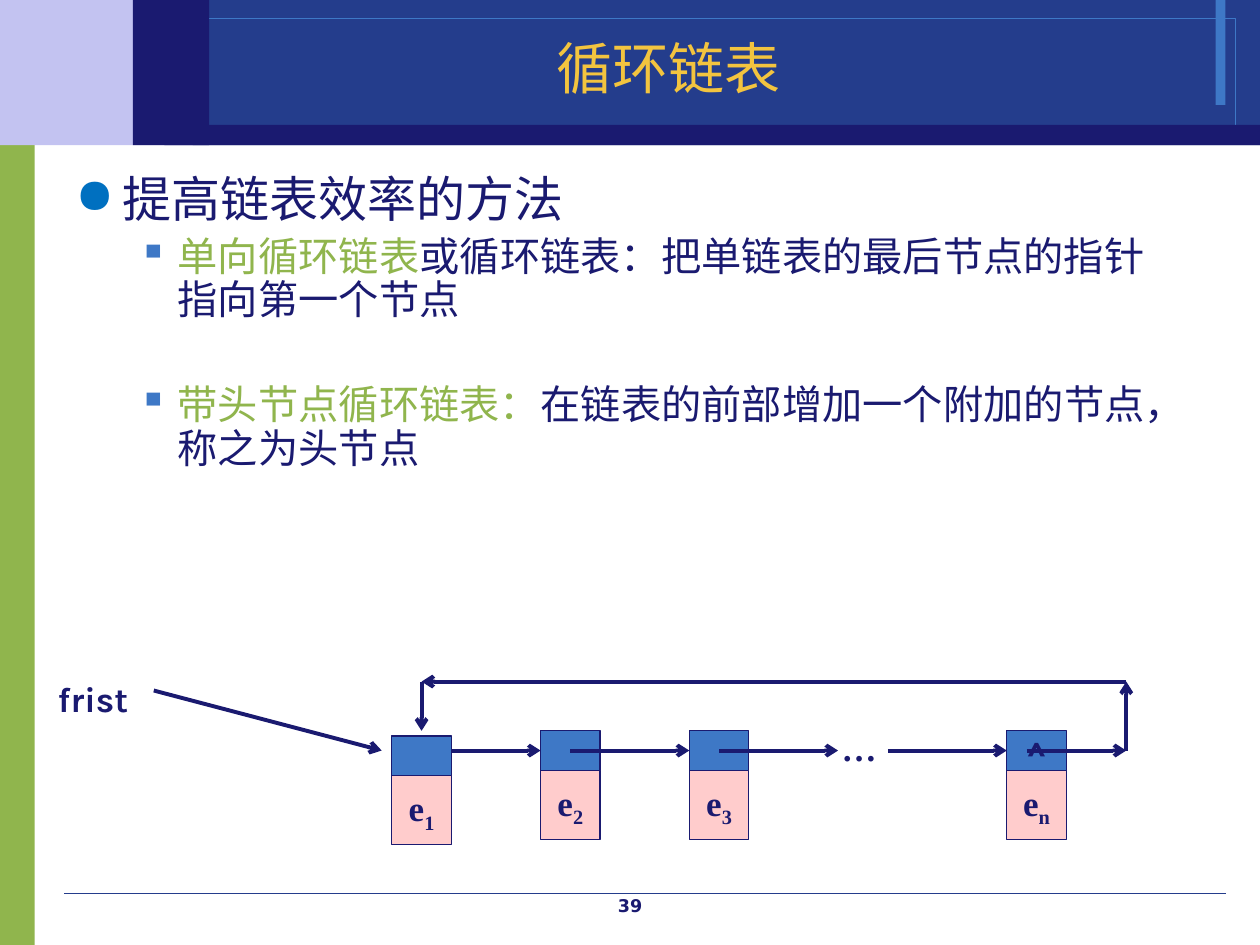
from dataclasses import dataclass

from lxml import etree
from pptx import Presentation
from pptx.dml.color import RGBColor
from pptx.enum import shapes as kinds, text as te
from pptx.oxml.ns import qn
from pptx.util import Pt


@dataclass(frozen=True)
class Theme:
    navy: str = "1A1A70"
    deep: str = "243D8C"
    blue: str = "3E78C6"
    dot: str = "0070C0"
    lilac: str = "C3C3F1"
    green: str = "90B54D"
    gold: str = "F3C43F"
    pink: str = "FFCCCC"
    sans: str = "DejaVu Sans"
    serif: str = "Times New Roman"
    label: str = "Karla"
    head: int = 32
    main: int = 28
    sub: int = 23
    node: int = 20
    foot: int = 10


T = Theme()
MID = te.PP_ALIGN.CENTER


def rgb(tone):
    return RGBColor.from_string(tone)


def write(para, text, size, font=T.serif, tone=T.navy, bold=False, base=0):
    run = para.add_run()
    run.text = text
    run.font.size = Pt(size)
    run.font.name = font
    run.font.bold = bold
    run.font.color.rgb = rgb(tone)
    if base:
        run.font._element.set("baseline", str(base * 1000))


def rect(slide, x, y, w, h, fill=None, line=None, width=0.75):
    box = slide.shapes.add_shape(kinds.MSO_SHAPE.RECTANGLE, Pt(x), Pt(y), Pt(w), Pt(h))
    box.shadow.inherit = False
    if fill:
        box.fill.solid()
        box.fill.fore_color.rgb = rgb(fill)
    else:
        box.fill.background()
    if line:
        box.line.color.rgb = rgb(line)
        box.line.width = Pt(width)
    else:
        box.line.fill.background()
    return box


def rule(slide, start, end, tone=T.navy, width=2.25, arrow=True):
    ends = [Pt(v) for v in (*start, *end)]
    line = slide.shapes.add_connector(kinds.MSO_CONNECTOR.STRAIGHT, *ends)
    line.line.color.rgb = rgb(tone)
    line.line.width = Pt(width)
    if arrow:
        etree.SubElement(line.line._get_or_add_ln(), qn("a:tailEnd"), type="arrow")
    etree.SubElement(line._element.spPr, qn("a:effectLst"))
    return line


def label(slide, x, y, w, h, text, size, align=None, **look):
    box = slide.shapes.add_textbox(Pt(x), Pt(y), Pt(w), Pt(h))
    box.text_frame.word_wrap = True
    para = box.text_frame.paragraphs[0]
    para.alignment = align
    write(para, text, size, bold=True, **look)


def centre(box):
    """Return the paragraph of a box whose text is centred and unwrapped."""
    frame = box.text_frame
    frame.word_wrap = False
    frame.vertical_anchor = te.MSO_ANCHOR.MIDDLE
    frame.paragraphs[0].alignment = MID
    return frame.paragraphs[0]


def frame(slide, w, h):
    """Draw the side bar, banner and foot rule."""
    top, stem = 83, 76
    rect(slide, 0, top - 6, 19.8, h - top + 6, T.green)
    rect(slide, 0, 0, 110, top, T.lilac)
    rect(slide, 110, 0, w - 110, top, T.deep)
    rect(slide, w - 25.4, 0, 5.6, 60, T.blue)
    rect(slide, 86, 10.5, w - 100, 61.2, line=T.blue, width=0.25)
    rule(slide, (36.7, h - 29.5), (w - 19.5, h - 29.5), T.deep, 0.25, False)
    rect(slide, 94, 71.4, w - 94, top - 71.4, T.navy)
    rect(slide, stem, 0, 43.5, top, T.navy)
    label(slide, 276, h - 32.4, 168, 18, "39", T.foot, MID, font=T.sans)


def title(slide, x, y, w, h, text):
    box = slide.shapes.title
    box.left, box.top, box.width, box.height = Pt(x), Pt(y), Pt(w), Pt(h)
    slide.shapes._spTree.append(box._element)  # in front of the banner
    para = centre(box)
    box.text_frame.word_wrap = True
    para.line_spacing = 0.9
    write(para, text, T.head, T.sans, T.gold)


def bullet(para, sign, tone, left, hang):
    props = para._p.get_or_add_pPr()
    props.set("marL", str(Pt(left)))
    props.set("indent", str(-Pt(hang)))
    paint = etree.SubElement(props, qn("a:buClr"))
    etree.SubElement(paint, qn("a:srgbClr"), val=tone)
    etree.SubElement(props, qn("a:buChar"), char=sign)


def points(slide, x, y, w, h):
    body = slide.shapes.add_textbox(Pt(x), Pt(y), Pt(w), Pt(h)).text_frame
    body.word_wrap = True
    rows = [
        (0, 5.5, [("提高链表效率的方法", T.navy)]),
        (1, 5, [("单向循环链表", T.green),
                ("或循环链表：把单链表的最后节点的指针指向第一个节点", T.navy)]),
        (1, 35, [("带头节点循环链表：", T.green),
                 ("在链表的前部增加一个附加的节点，称之为头节点", T.navy)]),
    ]
    for i, (level, gap, parts) in enumerate(rows):
        para = body.add_paragraph() if i else body.paragraphs[0]
        para.level = level
        para.line_spacing = 0.9
        para.space_before = Pt(gap)
        if level:
            bullet(para, "▪", T.blue, 58.5, 22.5)
        else:
            bullet(para, "●", T.dot, 27, 27)
        for text, tone in parts:
            write(para, text, T.sub if level else T.main, tone=tone)


def node(slide, x, y, sub, mark=""):
    """Draw a list node and return its pointer cell."""
    cell = rect(slide, x, y, 34, 22.6, T.blue, T.navy)
    if mark:
        write(centre(cell), mark, T.node, T.label, bold=True)
    data = centre(rect(slide, x, y + 22.6, 34, 39.6, T.pink, T.navy))
    write(data, "e", T.node, bold=True)
    write(data, sub, T.node, bold=True, base=-25)
    return cell


def chain(slide, x, y):
    """Draw the circular list; x, y is the corner of the label's box."""
    step, half, reach = 85, 17, 68
    first, last = x + 198, x + 549.4
    top = y + 33.8
    mid, loop = top + 11.3, y + 5.7
    cells = [node(slide, first + step, top, "2"),
             node(slide, first + 2 * step, top, "3"),
             node(slide, last, top, "n", "^")]
    rule(slide, (x + 62, y + 10.8), (x + 192.2, mid))
    starts = [first + half + i * step for i in range(3)] + [last - reach]
    for start, cell in zip(starts, (cells[0], cells[1], None, cells[2])):
        link = rule(slide, (start, mid), (start + reach, mid))
        if cell:
            link.end_connect(cell, 1)
    label(slide, x + 448, y + 28, 39.6, 31, "…", T.node)
    label(slide, x, y, 62.6, 31, "frist", T.node, font=T.label)
    side, back = x + 617.7, first + half
    turns = [(last + 11.5, mid), (side, mid), (side, loop), (back, loop), (back, top)]
    for start, end in zip(turns, turns[1:]):
        rule(slide, start, end)
    node(slide, first, top + 2.9, "1")


def main():
    deck = Presentation()
    deck.slide_width, deck.slide_height = Pt(720), Pt(540)
    slide = deck.slides.add_slide(deck.slide_layouts[5])
    frame(slide, 720, 540)
    title(slide, 85.7, 18.7, 592.6, 44.6, "循环链表")
    points(slide, 36, 96.5, 648, 413)
    chain(slide, 25.9, 383.8)
    deck.save("out.pptx")


if __name__ == "__main__":
    main()
